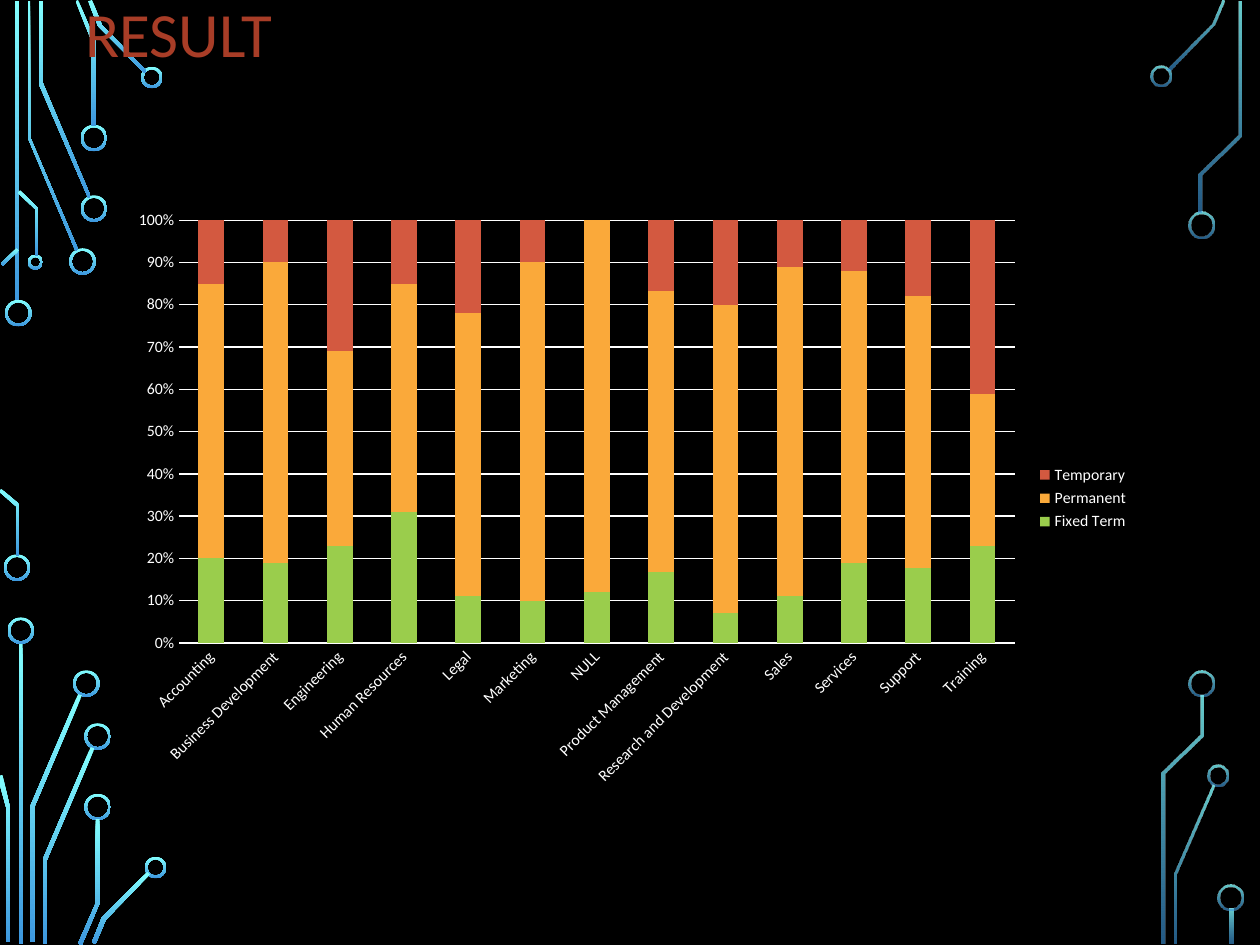
import pptx
import pptx.chart.data
import pptx.dml.color
import pptx.enum.chart
import pptx.enum.text
import pptx.enum.shapes
import pptx.oxml
import pptx.oxml.ns
import pptx.util

Inches = pptx.util.Inches
Pt = pptx.util.Pt
FONT = "Calibri"
HEX = {
    "back": "000000", "title": "A83D27", "text": "FFFFFF",
    "top": "82FFFF", "base": "3D97DE",
    "fixed": "9ACD4C", "perm": "FAA93A", "temp": "D35940",
}
SOLID = (100, 100)
FADED = (80, 60)

LEFT_BARS = [(0.12, 0.01, 0.03, 2.39), (0.15, 5.1, 0.03, 2.39)]
RIGHT_BARS = [(9.76, 7.21, 0.03, 0.28)]

LEFT_RINGS = [
    (0.04, 2.38, 0.21), (0.03, 4.4, 0.21), (0.55, 1.97, 0.21),
    (0.64, 1.55, 0.21), (0.64, 0.99, 0.21), (1.12, 0.53, 0.17),
    (0.22, 2.02, 0.12), (0.06, 4.9, 0.21), (0.58, 5.32, 0.21),
    (0.67, 5.74, 0.21), (0.67, 6.3, 0.21), (1.15, 6.8, 0.17),
]
RIGHT_RINGS = [
    (9.13, 0.52, 0.17), (9.43, 1.68, 0.21), (9.58, 6.07, 0.17),
    (9.43, 5.32, 0.21), (9.66, 7.02, 0.21),
]

LEFT_WIRES = [
    [(0.6, 1.99), (0.22, 1.09), (0.22, 0.01), (0.24, 0.01), (0.24, 1.09), (0.62, 1.98)],
    [(0.7, 1.57), (0.31, 0.67), (0.31, 0.01), (0.34, 0.01), (0.34, 0.66), (0.72, 1.56)],
    [(0.76, 1), (0.73, 1), (0.73, 0.33), (0.6, 0.01), (0.62, 0), (0.76, 0.33)],
    [(1.15, 0.58), (0.78, 0.21), (0.7, 0.01), (0.73, 0), (0.81, 0.2), (1.16, 0.56)],
    [(0.02, 2.11), (0.01, 2.09), (0.13, 1.97), (0.15, 1.99)],
    [(0.15, 4.41), (0.13, 4.41), (0.13, 4.02), (-0.01, 3.9), (0.01, 3.88), (0.15, 4)],
    [(0.3, 2.03), (0.28, 2.03), (0.28, 1.66), (0.14, 1.53), (0.16, 1.51), (0.3, 1.65)],
    [(0.27, 7.48), (0.24, 7.48), (0.24, 6.4), (0.62, 5.51), (0.65, 5.52), (0.27, 6.41)],
    [(0.08, 7.48), (0.05, 7.48), (0.05, 6.41), (-0.02, 6.16), (0.02, 6.15), (0.08, 6.41)],
    [(0.37, 7.49), (0.34, 7.49), (0.34, 6.82), (0.72, 5.93), (0.75, 5.94), (0.37, 6.83)],
    [(0.65, 7.5), (0.62, 7.49), (0.76, 7.17), (0.76, 6.5), (0.79, 6.5), (0.79, 7.17)],
    [(0.76, 7.49), (0.73, 7.48), (0.81, 7.28), (1.17, 6.92), (1.19, 6.94), (0.84, 7.3)],
]
RIGHT_WIRES = [
    [(9.29, 0.56), (9.26, 0.55), (9.62, 0.19), (9.7, 0), (9.72, 0.01), (9.64, 0.2)],
    [(9.34, 7.49), (9.32, 7.49), (9.32, 6.93), (9.62, 6.23), (9.64, 6.24), (9.34, 6.94)],
    [(9.54, 1.69), (9.51, 1.69), (9.51, 1.38), (9.82, 1.07),
     (9.82, 0.01), (9.85, 0.01), (9.85, 1.08), (9.54, 1.39)],
    [(9.25, 7.49), (9.22, 7.49), (9.22, 6.13), (9.52, 5.83),
     (9.52, 5.52), (9.55, 5.52), (9.55, 5.84), (9.25, 6.14)],
]

CATS = [
    "Accounting", "Business Development", "Engineering", "Human Resources",
    "Legal", "Marketing", "NULL", "Product Management",
    "Research and Development", "Sales", "Services", "Support", "Training",
]
SERIES = [
    ("Fixed Term", "fixed", [20, 19, 23, 31, 11, 10, 12, 17, 7, 11, 19, 18, 23]),
    ("Permanent", "perm", [65, 71, 46, 54, 67, 80, 88, 67, 73, 78, 69, 65, 36]),
    ("Temporary", "temp", [15, 10, 31, 15, 22, 10, None, 17, 20, 11, 12, 18, 41]),
]


def tint(name):
    return pptx.dml.color.RGBColor.from_string(HEX[name])


def paint(shape, alphas):
    shape.shadow.inherit = False
    shape.line.fill.background()
    shape.fill.gradient()
    shape.fill.gradient_angle = 270
    stops = shape.fill.gradient_stops
    for stop, name, place, alpha in zip(stops, ("top", "base"), (0, 1), alphas):
        stop.color.rgb = tint(name)
        stop.position = place
    for node, alpha in zip(shape.element.spPr.iter(pptx.oxml.ns.qn("a:srgbClr")), alphas):
        if alpha < 100:
            mark = pptx.oxml.parse_xml(
                f'<a:alpha {pptx.oxml.ns.nsdecls("a")} val="{alpha * 1000}"/>')
            node.append(mark)


def add_bar(slide, box, alphas):
    kind = pptx.enum.shapes.MSO_SHAPE.RECTANGLE
    paint(slide.shapes.add_shape(kind, *map(Inches, box)), alphas)


def add_ring(slide, ring, alphas):
    left, top, size = ring
    kind = pptx.enum.shapes.MSO_SHAPE.DONUT
    shape = slide.shapes.add_shape(kind, *map(Inches, (left, top, size, size)))
    shape.adjustments[0] = 0.02 / size
    paint(shape, alphas)


def add_wire(slide, points, alphas):
    spots = [(Inches(x), Inches(y)) for x, y in points]
    pen = slide.shapes.build_freeform(*spots[0], scale=1.0)
    pen.add_line_segments(spots[1:], close=True)
    paint(pen.convert_to_shape(), alphas)


def add_side(slide, bars, rings, wires, alphas):
    for draw, items in ((add_bar, bars), (add_ring, rings), (add_wire, wires)):
        for item in items:
            draw(slide, item, alphas)


def add_title(slide, text):
    title = slide.shapes.title
    title.left, title.top = Inches(0.58), Inches(-0.33)
    title.width, title.height = Inches(8.17), Inches(1.25)
    title.element.getparent().append(title.element)
    frame = title.text_frame
    frame.word_wrap = True
    frame.auto_size = pptx.enum.text.MSO_AUTO_SIZE.NONE
    frame.vertical_anchor = pptx.enum.text.MSO_ANCHOR.MIDDLE
    para = frame.paragraphs[0]
    para.alignment = pptx.enum.text.PP_ALIGN.LEFT
    para.line_spacing = 0.9
    run = para.add_run()
    run.text = text
    style(run.font, 36, "title")


def style(font, size, name):
    font.name = FONT
    font.size = Pt(size)
    font.color.rgb = tint(name)


def trim(axis):
    none = pptx.enum.chart.XL_TICK_MARK.NONE
    axis.major_tick_mark = none
    axis.minor_tick_mark = none
    axis.format.line.fill.background()
    style(axis.tick_labels.font, 9, "text")


def add_graph(slide):
    data = pptx.chart.data.CategoryChartData()
    data.categories = CATS
    for name, _, vals in SERIES:
        data.add_series(name, vals)
    kind = pptx.enum.chart.XL_CHART_TYPE.COLUMN_STACKED_100
    box = map(Inches, (0.94, 1.58, 8.12, 4.75))
    chart = slide.shapes.add_chart(kind, *box, data).chart
    chart.has_title = False
    style(chart.font, 10, "text")
    plot = chart.plots[0]
    plot.gap_width, plot.overlap = 150, 100
    plot.vary_by_categories = False
    for bar, (_, name, _) in zip(plot.series, SERIES):
        bar.format.fill.solid()
        bar.format.fill.fore_color.rgb = tint(name)
    trim(chart.category_axis)
    trim(chart.value_axis)
    body = chart.category_axis.format.line
    text = chart.category_axis.tick_labels.font
    label = next(chart.element.iter(pptx.oxml.ns.qn("c:catAx")))
    next(label.iter(pptx.oxml.ns.qn("a:bodyPr"))).set("rot", "-2700000")
    chart.value_axis.tick_labels.number_format = "0%"
    chart.value_axis.tick_labels.number_format_is_linked = False
    grid = chart.value_axis.major_gridlines.format.line
    grid.color.rgb = tint("text")
    grid.width = Pt(0.75)
    chart.has_legend = True
    chart.legend.position = pptx.enum.chart.XL_LEGEND_POSITION.RIGHT
    chart.legend.include_in_layout = False
    style(chart.legend.font, 9, "text")


def main():
    deck = pptx.Presentation()
    deck.slide_width, deck.slide_height = Inches(10), Inches(7.5)
    slide = deck.slides.add_slide(deck.slide_layouts[5])
    slide.background.fill.solid()
    slide.background.fill.fore_color.rgb = tint("back")
    add_side(slide, LEFT_BARS, LEFT_RINGS, LEFT_WIRES, SOLID)
    add_side(slide, RIGHT_BARS, RIGHT_RINGS, RIGHT_WIRES, FADED)
    add_title(slide, "RESULT")
    add_graph(slide)
    deck.save("out.pptx")


if __name__ == "__main__":
    main()
